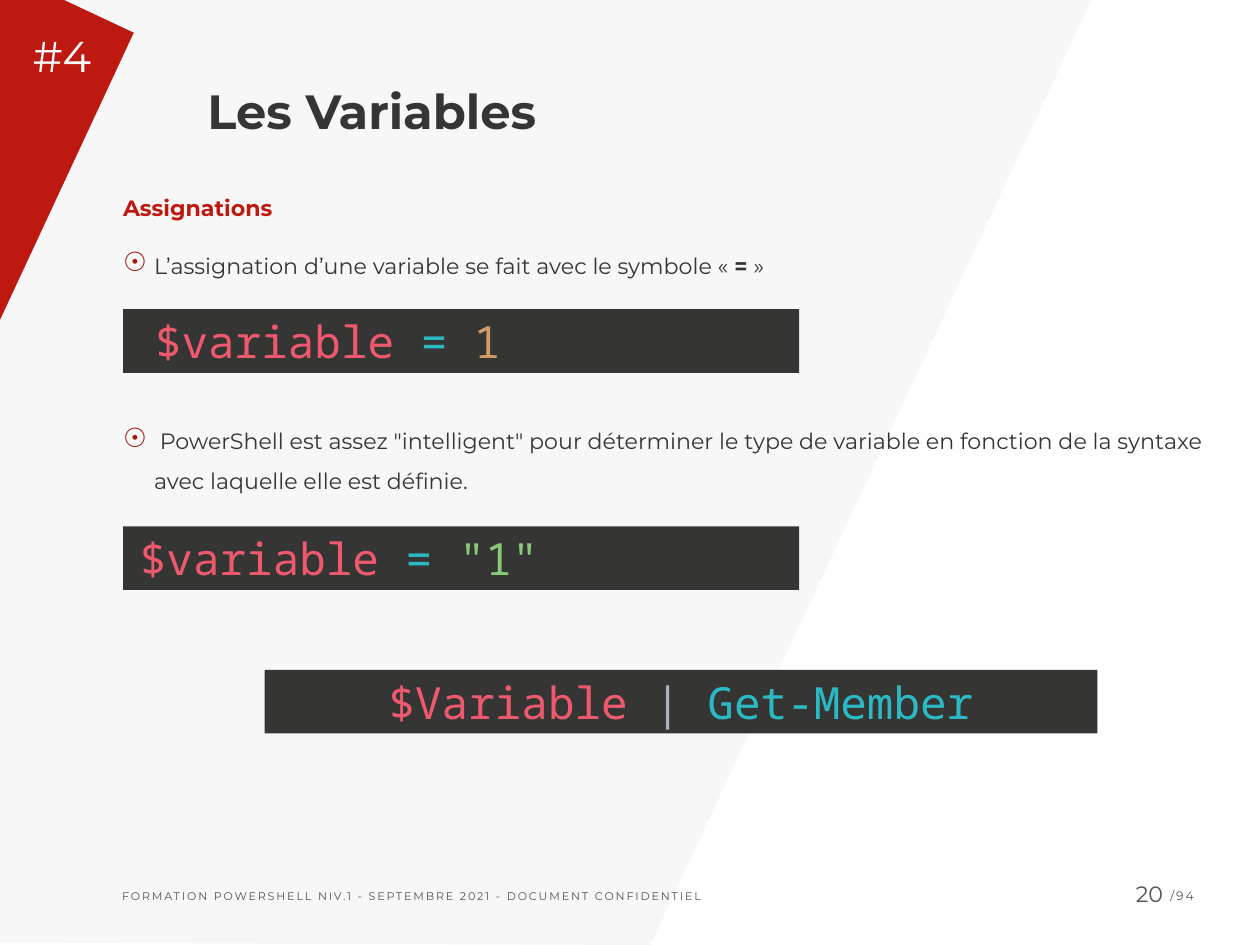
from lxml.etree import SubElement
from pptx import Presentation
from pptx.dml.color import RGBColor
from pptx.enum.shapes import MSO_SHAPE
from pptx.enum.text import MSO_ANCHOR as Anchor, MSO_AUTO_SIZE as AutoSize, PP_ALIGN as Align
from pptx.oxml.ns import qn
from pptx.util import Pt

RED, GREY, PALE, DARK, WHITE = "BE1911", "535353", "F7F7F7", "353533", "FFFFFF"
BULLET_RED, NAME_RED, CYAN = "A4140E", "EF596F", "2BBAC5"
NUMBER_ORANGE, STRING_GREEN, PIPE_GREY = "D19A66", "89CA78", "ABB2BF"
FONT, CODE_FONT = "Montserrat", "Noto Sans Mono"
INSET = 4.3


def rgb(code):
    return RGBColor.from_string(code)


class SlideBuilder:
    """Holds the style and the current slide; all lengths are in points."""

    def __init__(self, presentation):
        self.slide = presentation.slides.add_slide(presentation.slide_layouts[5])
        self.shapes = self.slide.shapes

    def style(self, paragraph, size, color=None, bold=False, font=FONT):
        paragraph.font.name = font
        paragraph.font.size = Pt(size)
        paragraph.font.bold = bold
        if color:
            paragraph.font.color.rgb = rgb(color)

    def frame(self, shape, inset=INSET, left_inset=None, anchor=Anchor.TOP):
        text_frame = shape.text_frame
        text_frame.word_wrap = True
        text_frame.auto_size = AutoSize.NONE
        text_frame.vertical_anchor = anchor
        text_frame.margin_left = Pt(inset if left_inset is None else left_inset)
        text_frame.margin_top = text_frame.margin_right = text_frame.margin_bottom = Pt(inset)
        return text_frame

    def paint(self, shape, color):
        shape.fill.solid()
        shape.fill.fore_color.rgb = rgb(color)
        shape.line.fill.background()
        shape.shadow.inherit = False

    def polygon(self, points, color):
        start, *others = [(Pt(x), Pt(y)) for x, y in points]
        outline = self.shapes.build_freeform(*start)
        outline.add_line_segments(others, close=True)
        self.paint(outline.convert_to_shape(), color)

    def title(self, text, left, top, width, height):
        title = self.shapes.title
        # Bring the title in front of the backdrop.
        self.shapes._spTree.append(title._element)
        title.left, title.top, title.width, title.height = map(Pt, (left, top, width, height))
        paragraph = self.frame(title, anchor=Anchor.BOTTOM).paragraphs[0]
        paragraph.text = text
        paragraph.alignment = Align.LEFT
        self.style(paragraph, 39, DARK, bold=True)

    def label(self, text, box, size, color=GREY, align=Align.LEFT, tracking=0):
        textbox = self.shapes.add_textbox(*map(Pt, box))
        paragraph = self.frame(textbox).paragraphs[0]
        paragraph.alignment = align
        run = paragraph.add_run()
        run.text = text
        self.style(paragraph, size, color)
        if tracking:
            run._r.get_or_add_rPr().set("spc", str(int(tracking * 100)))

    def bullet(self, paragraph):
        properties = paragraph._p.get_or_add_pPr()
        properties.set("marL", str(Pt(25.2)))
        properties.set("indent", str(-Pt(25.2)))
        bullet_color = SubElement(properties, qn("a:buClr"))
        SubElement(bullet_color, qn("a:srgbClr"), val=BULLET_RED)
        SubElement(properties, qn("a:buSzPct"), val="120000")
        SubElement(properties, qn("a:buChar"), char="☉")

    def body(self, heading, points, box):
        """Points are (space before, runs), with runs as (text, bold)."""
        text_frame = self.frame(self.shapes.add_textbox(*map(Pt, box)), inset=0)
        paragraph = text_frame.paragraphs[0]
        paragraph.text = heading
        paragraph.line_spacing = 1.5
        self.style(paragraph, 18, RED, bold=True)
        for space, runs in points:
            paragraph = text_frame.add_paragraph()
            paragraph.line_spacing = 1.5
            paragraph.space_before = Pt(space)
            self.bullet(paragraph)
            self.style(paragraph, 18, DARK)
            for text, bold in runs:
                run = paragraph.add_run()
                run.text = text
                if bold:
                    run.font.bold = True

    def code(self, tokens, left, top, width, left_inset=INSET, align=Align.LEFT):
        """Draw one line of code on a dark bar; tokens are (text, color)."""
        bar = self.shapes.add_shape(MSO_SHAPE.RECTANGLE, Pt(left), Pt(top), Pt(width), Pt(51.8))
        self.paint(bar, DARK)
        paragraph = self.frame(bar, left_inset=left_inset, anchor=Anchor.MIDDLE).paragraphs[0]
        paragraph.alignment = align
        self.style(paragraph, 36, font=CODE_FONT)
        for text, color in tokens:
            run = paragraph.add_run()
            run.text = text
            run.font.color.rgb = rgb(color)


def main():
    presentation = Presentation()
    presentation.slide_width, presentation.slide_height = Pt(1024), Pt(768)
    page = SlideBuilder(presentation)

    page.polygon([(0, 766), (0, 0), (887, 0), (528.5, 768)], PALE)
    page.polygon([(0, 260), (0, 0), (52, 0), (108.7, 26.6)], RED)
    page.title("Les Variables", 164.2, 0, 859.8, 117.4)
    page.label("#4", (22.3, 19.4, 70, 50.4), 35, WHITE)

    page.label("FORMATION POWERSHELL NIV.1 - SEPTEMBRE 2021 - DOCUMENT CONFIDENTIEL",
               (95, 718.6, 751.7, 18.7), 9, tracking=1.5)
    page.label("20", (900, 711.4, 49.5, 26.6), 18, align=Align.RIGHT)
    page.label("/94", (946.8, 717.8, 56.9, 20.2), 10, tracking=1.5)

    page.body("Assignations", [
        (15, [("L’assignation d’une variable se fait avec le symbole « ", False),
              ("=", True), (" »", False)]),
        (110, [(" PowerShell est assez \"intelligent\" pour déterminer le type de variable "
                "en fonction de la syntaxe avec laquelle elle est définie.", False)]),
    ], (100, 146.9, 902.9, 542.2))

    assignment = [("$variable ", NAME_RED), ("= ", CYAN)]
    page.code(assignment + [("1", NUMBER_ORANGE)], 100, 251.3, 549.4, left_inset=26)
    page.code(assignment + [('"1"', STRING_GREEN)], 100, 427.7, 549.4, left_inset=13.7)
    page.code([("$Variable", NAME_RED), (" | ", PIPE_GREY), ("Get-Member", CYAN)],
              215, 544.3, 676.8, align=Align.CENTER)

    presentation.save("out.pptx")


if __name__ == "__main__":
    main()
